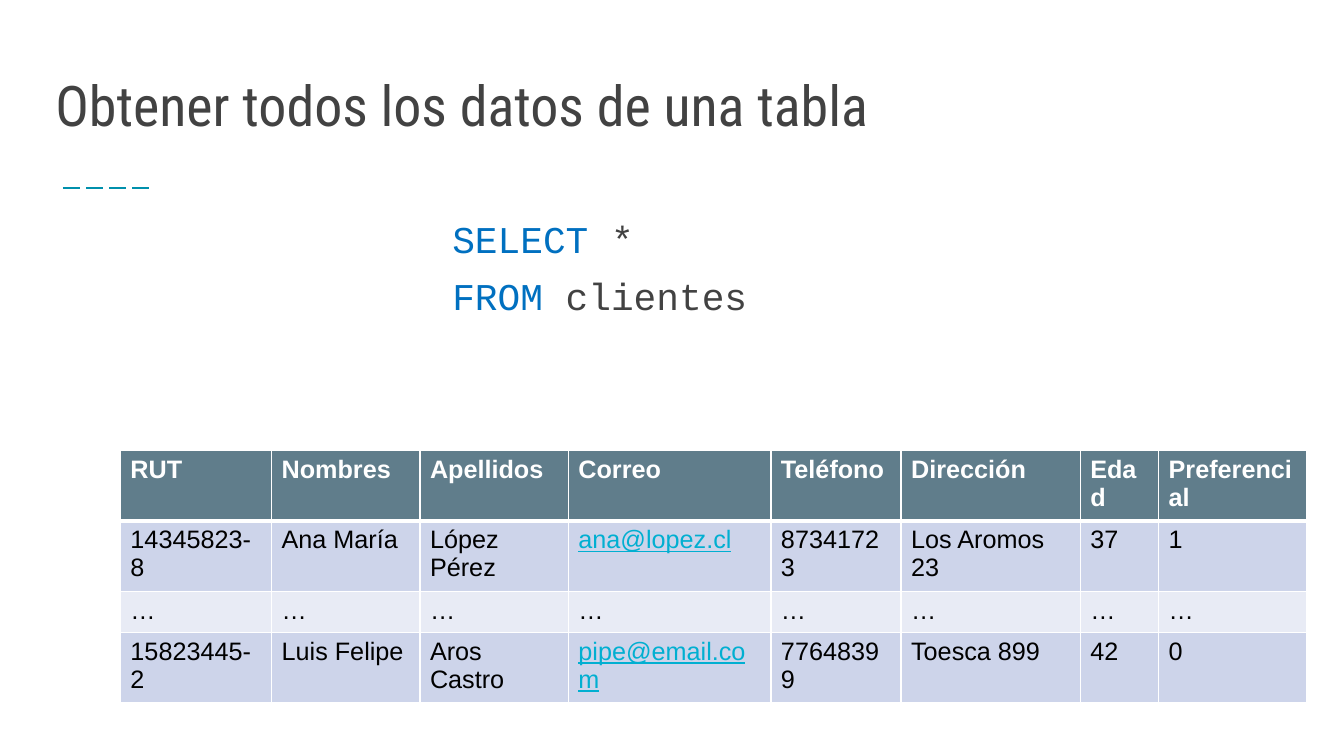
from lxml import etree
from pptx import Presentation
from pptx.dml.color import RGBColor
from pptx.enum.dml import MSO_LINE
from pptx.enum.shapes import MSO_CONNECTOR
from pptx.enum.text import MSO_ANCHOR
from pptx.oxml.ns import qn
from pptx.util import Pt

STRAIGHT = MSO_CONNECTOR.STRAIGHT
LONG_DASH = MSO_LINE.LONG_DASH
TOP = MSO_ANCHOR.TOP
MIDDLE = MSO_ANCHOR.MIDDLE

COLORS = {
    "title": "424242",
    "accent": "0090AC",
    "keyword": "0070C0",
    "header": "607D8B",
    "odd_row": "CDD4EA",
    "even_row": "E8EBF5",
    "email": "01AFD1",
    "black": "000000",
    "white": "FFFFFF",
}

COLUMN_WIDTHS = [108, 106, 106, 144.7, 93, 128, 56, 106]
ROW_HEIGHT = 29.2
CLIENTS = [
    ["RUT", "Nombres", "Apellidos", "Correo", "Teléfono", "Dirección", "Edad", "Preferencial"],
    ["14345823-8", "Ana María", "López Pérez", "ana@lopez.cl", "87341723", "Los Aromos 23", "37", "1"],
    ["…"] * 8,
    ["15823445-2", "Luis Felipe", "Aros Castro", "pipe@email.com", "77648399", "Toesca 899", "42", "0"],
]


class SlideBuilder:
    title_font = "Roboto Condensed"
    code_font = "Courier New"
    table_font = "Arial"

    def __init__(self, slide):
        self.slide = slide

    def color(self, name):
        return RGBColor.from_string(COLORS[name])

    def style(self, font, name, size, color):
        font.name = name
        font.size = Pt(size)
        font.color.rgb = self.color(color)

    def text_box(self, left, top, width, height, anchor):
        shape = self.slide.shapes.add_textbox(Pt(left), Pt(top), Pt(width), Pt(height))
        text_frame = shape.text_frame
        text_frame.word_wrap = True
        text_frame.vertical_anchor = anchor
        return text_frame

    def title(self, text, left, top, width, height):
        text_frame = self.text_box(left, top, width, height, MIDDLE)
        text_frame.text = text
        paragraph = text_frame.paragraphs[0]
        paragraph.line_spacing = 0.9
        self.style(paragraph.runs[0].font, self.title_font, 40, "title")

    def dashed_line(self, left, right, y):
        connector = self.slide.shapes.add_connector(STRAIGHT, Pt(left), Pt(y), Pt(right), Pt(y))
        connector.line.color.rgb = self.color("accent")
        connector.line.width = Pt(1.5)
        connector.line.dash_style = LONG_DASH
        etree.SubElement(connector.element.spPr, qn("a:effectLst"))

    def query(self, clauses, left, top, width, height):
        text_frame = self.text_box(left, top, width, height, TOP)
        for index, (keyword, rest) in enumerate(clauses):
            paragraph = text_frame.add_paragraph() if index else text_frame.paragraphs[0]
            paragraph.line_spacing = 0.9
            paragraph.space_before = Pt(12 if index else 0)
            for text, color in ((keyword, "keyword"), (f" {rest}", "title")):
                run = paragraph.add_run()
                run.text = text
                self.style(run.font, self.code_font, 27, color)

    def borders(self, cell, top, bottom):
        properties = cell._tc.get_or_add_tcPr()
        for side, width in (("lnL", 1), ("lnR", 1), ("lnT", top), ("lnB", bottom)):
            line = etree.SubElement(properties, qn(f"a:{side}"), w=str(Pt(width)))
            fill = etree.SubElement(line, qn("a:solidFill"))
            etree.SubElement(fill, qn("a:srgbClr"), val=COLORS["white"])

    def cell(self, cell, text, row):
        is_header = row == 0
        is_email = "@" in text
        self.borders(cell, 3 if row == 1 else 1, 3 if is_header else 1)
        cell.fill.solid()
        fill = "header" if is_header else "odd_row" if row % 2 else "even_row"
        cell.fill.fore_color.rgb = self.color(fill)
        cell.text_frame.text = text
        font = cell.text_frame.paragraphs[0].runs[0].font
        color = "white" if is_header else "email" if is_email else "black"
        self.style(font, self.table_font, 18, color)
        font.bold = is_header
        font.underline = is_email

    def table(self, rows, widths, left, top):
        table = self.slide.shapes.add_table(
            len(rows), len(widths), Pt(left), Pt(top), Pt(sum(widths)), Pt(ROW_HEIGHT * len(rows))
        ).table
        for column, width in zip(table.columns, widths):
            column.width = Pt(width)
        for row, values in enumerate(rows):
            table.rows[row].height = Pt(ROW_HEIGHT)
            for column, text in enumerate(values):
                self.cell(table.cell(row, column), text, row)


def main():
    presentation = Presentation()
    presentation.slide_width = Pt(960)
    presentation.slide_height = Pt(540)
    builder = SlideBuilder(presentation.slides.add_slide(presentation.slide_layouts[6]))
    builder.dashed_line(45, 109.4, 134)
    builder.title("Obtener todos los datos de una tabla", 32.5, 39, 894, 77)
    builder.query([("SELECT", "*"), ("FROM", "clientes")], 316, 154, 611, 325)
    builder.table(CLIENTS, COLUMN_WIDTHS, 86, 321.5)
    presentation.save("out.pptx")


if __name__ == "__main__":
    main()
